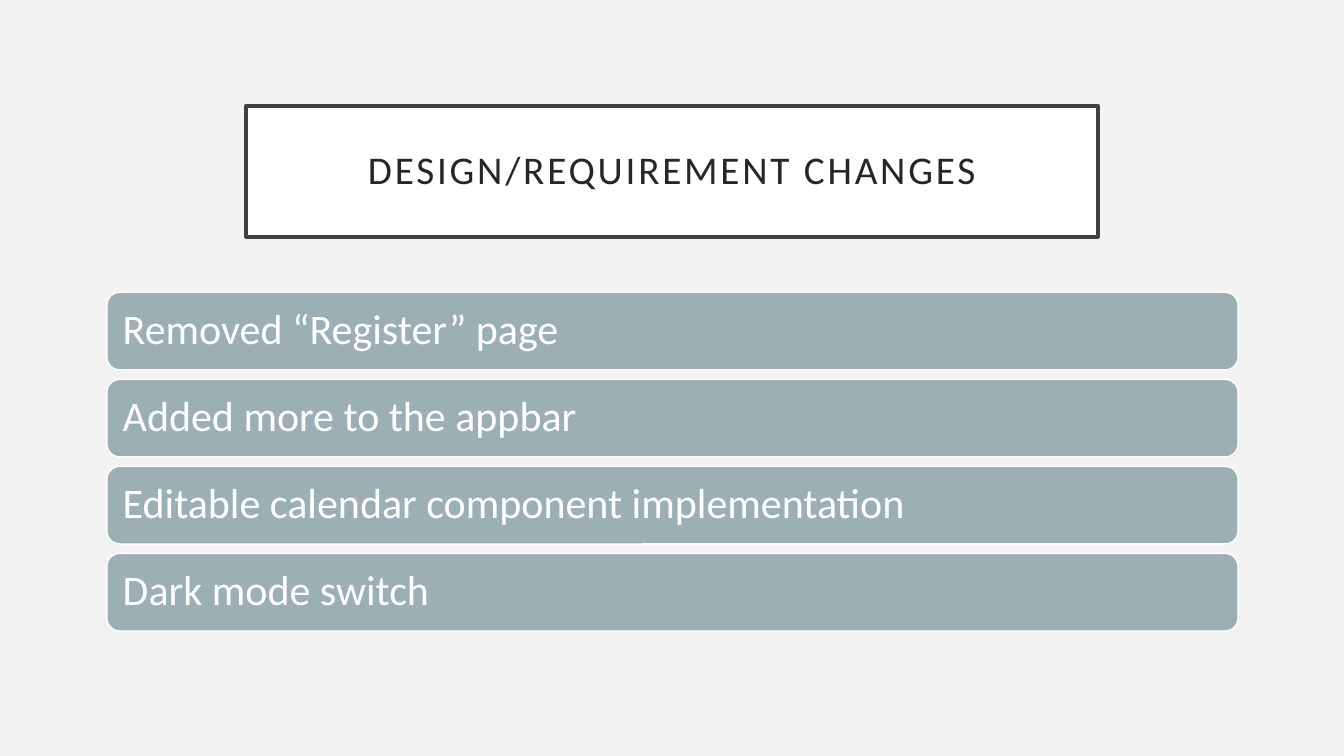
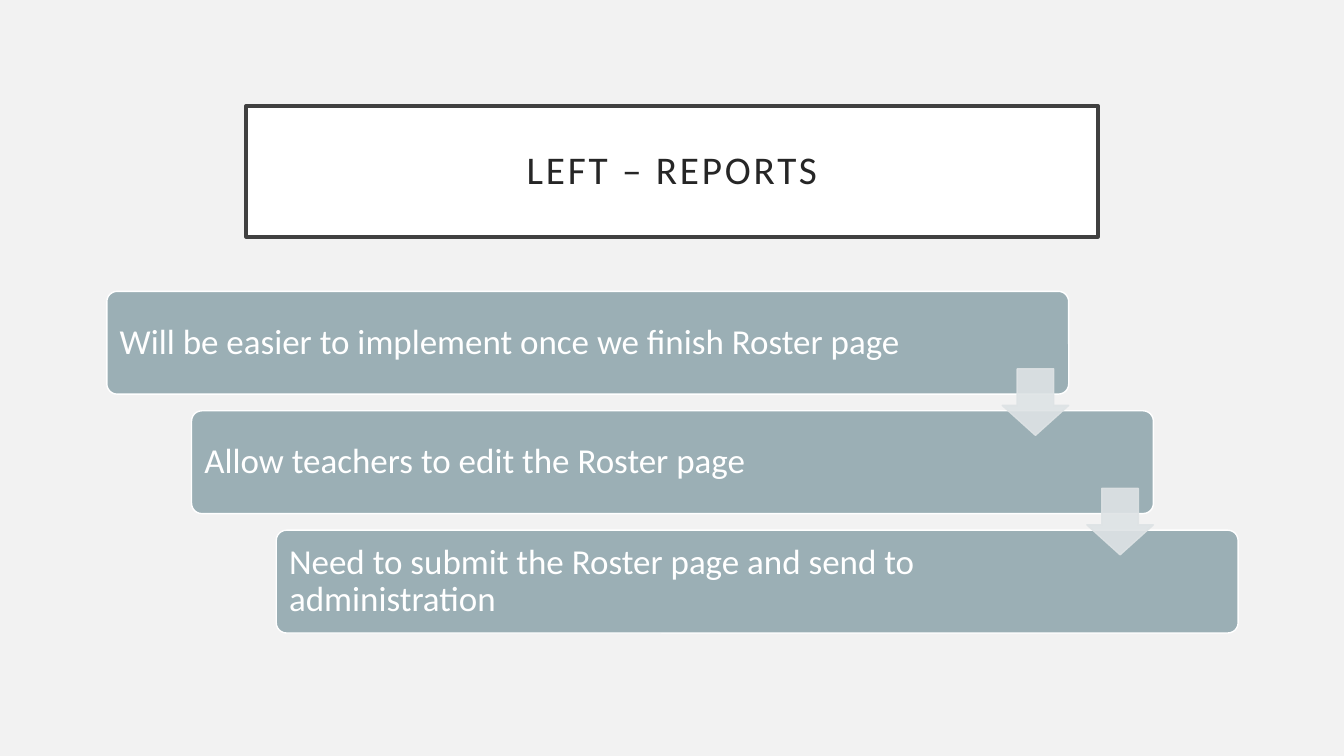
"""Build two slides: a list of design changes and the remaining report steps."""
from lxml.etree import SubElement
from pptx import Presentation
from pptx.dml.color import RGBColor
from pptx.enum.shapes import MSO_SHAPE as Shape
from pptx.enum.text import MSO_ANCHOR as Anchor, PP_ALIGN as Align
from pptx.oxml.ns import qn
from pptx.util import Inches, Pt

BACKGROUND = RGBColor(0xF2, 0xF2, 0xF2)
WHITE = RGBColor(0xFF, 0xFF, 0xFF)
FRAME = RGBColor(0x40, 0x40, 0x40)
TITLE_INK = RGBColor(0x26, 0x26, 0x26)
BAR = RGBColor(0x9B, 0xAF, 0xB5)
ARROW = RGBColor(0xDE, 0xE3, 0xE5)

FONT = "Calibri"
STACK_LEFT, STACK_WIDTH = 1.06, 11.22
ARROW_SIZE, ARROW_DROP = 0.66, 0.77

CHANGES = [
    "Removed “Register” page",
    "Added more to the appbar",
    "Editable calendar component implementation",
    "Dark mode switch",
]
REPORT_STEPS = [
    "Will be easier to implement once we finish Roster page",
    "Allow teachers to edit the Roster page",
    "Need to submit the Roster page and send to administration",
]


def add_block(slide, preset, box, fill, line, line_width=1):
    block = slide.shapes.add_shape(preset, *map(Inches, box))
    block.shadow.inherit = False
    block.fill.solid()
    block.fill.fore_color.rgb = fill
    block.line.color.rgb = line
    block.line.width = Pt(line_width)
    return block


def write(block, text, size, color, inset, align=Align.LEFT):
    frame = block.text_frame
    frame.word_wrap = True
    frame.vertical_anchor = Anchor.MIDDLE
    frame.margin_left = frame.margin_right = Inches(inset)
    frame.margin_top = frame.margin_bottom = Inches(inset)
    frame.text = text
    paragraph = frame.paragraphs[0]
    paragraph.alignment = align
    paragraph.line_spacing = 0.9
    font = paragraph.runs[0].font
    font.name, font.size, font.color.rgb = FONT, Pt(size), color
    return font


def add_titled_slide(deck, title):
    slide = deck.slides.add_slide(deck.slide_layouts[6])
    slide.background.fill.solid()
    slide.background.fill.fore_color.rgb = BACKGROUND
    banner = add_block(slide, Shape.RECTANGLE, (2.44, 1.05, 8.45, 1.3), WHITE, FRAME, 2.5)
    font = write(banner, title, 28, TITLE_INK, 0.2, Align.CENTER)
    font._element.set("spc", "200")
    return slide


def add_bars(slide, texts, top, bottom, width, height, size, inset):
    gaps = len(texts) - 1
    step_down = (bottom - top - height) / gaps
    step_right = (STACK_WIDTH - width) / gaps
    bars = []
    for row, text in enumerate(texts):
        box = (STACK_LEFT + row * step_right, top + row * step_down, width, height)
        bar = add_block(slide, Shape.ROUNDED_RECTANGLE, box, BAR, WHITE)
        write(bar, text, size, WHITE, inset)
        bars.append(bar)
    return bars


def add_step_arrow(slide, bar):
    left = bar.left.inches + bar.width.inches - ARROW_SIZE
    box = (left, bar.top.inches + ARROW_DROP, ARROW_SIZE, ARROW_SIZE)
    arrow = add_block(slide, Shape.DOWN_ARROW, box, ARROW, ARROW)
    arrow.adjustments[0], arrow.adjustments[1] = 0.55, 0.45
    for color in arrow._element.spPr.iter(qn("a:srgbClr")):
        SubElement(color, qn("a:alpha"), val="90000")


def add_changes_slide(deck):
    slide = add_titled_slide(deck, "DESIGN/REQUIREMENT CHANGES")
    add_bars(slide, CHANGES, top=2.9, bottom=6.26, width=STACK_WIDTH, height=0.77,
             size=30, inset=0.12)


def add_reports_slide(deck):
    slide = add_titled_slide(deck, "LEFT – REPORTS")
    steps = add_bars(slide, REPORT_STEPS, top=2.89, bottom=6.28, width=9.54, height=1.02,
                     size=25, inset=0.1)
    for step in steps:
        step.adjustments[0] = 0.1
        step.text_frame.margin_right = Inches(1.4)
    for step in steps[:-1]:
        add_step_arrow(slide, step)


def main():
    deck = Presentation()
    deck.slide_width, deck.slide_height = Inches(13.33), Inches(7.5)
    add_changes_slide(deck)
    add_reports_slide(deck)
    deck.save("out.pptx")


if __name__ == "__main__":
    main()
